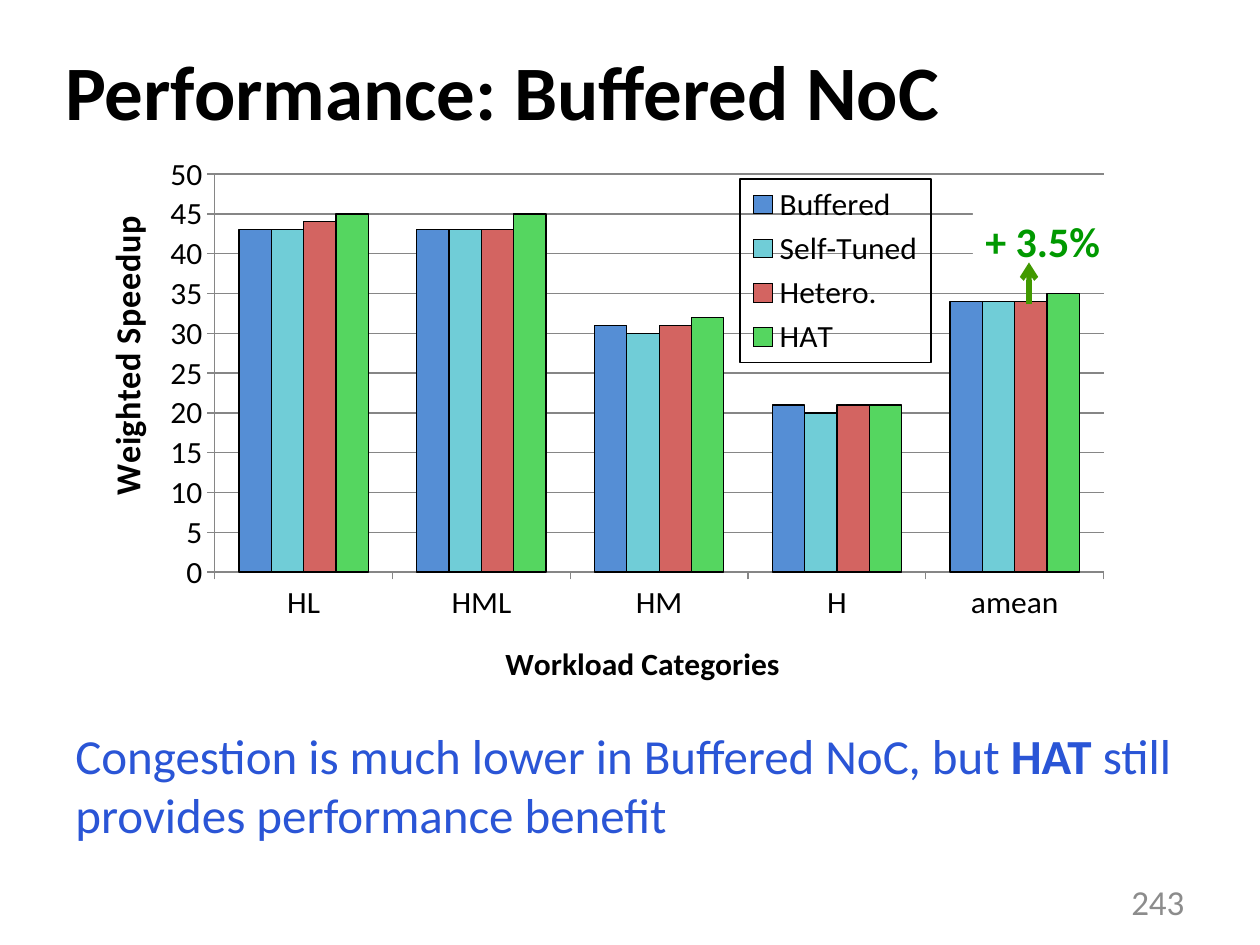
from dataclasses import dataclass

from lxml import etree
from pptx import Presentation
from pptx.chart.data import CategoryChartData
from pptx.dml.color import RGBColor
from pptx.enum import chart as ch, shapes, text
from pptx.oxml import parse_xml
from pptx.oxml.ns import nsdecls, qn
from pptx.util import Pt


@dataclass(frozen=True)
class Theme:
    font: str = "Calibri"
    black: str = "000000"
    white: str = "FFFFFF"
    grid: str = "868686"
    number: str = "8C8C8C"
    message: str = "2A55D6"
    gain: str = "009900"
    arrow: str = "419900"
    title_size: int = 44
    message_size: int = 28
    gain_size: int = 24
    large_size: int = 20
    label_size: int = 18


@dataclass(frozen=True)
class Box:
    left: float
    top: float
    width: float
    height: float

    def lengths(self) -> list:
        return [Pt(v) for v in (self.left, self.top, self.width, self.height)]


@dataclass(frozen=True)
class Run:
    text: str
    size: int
    color: str
    bold: bool = False


@dataclass(frozen=True)
class Scheme:
    name: str
    values: tuple
    color: str


T = Theme()
CATEGORIES = ("HL", "HML", "HM", "H", "amean")
SCHEMES = (
    Scheme("Buffered", (43, 43, 31, 21, 34), "558ED5"),
    Scheme("Self-Tuned", (43, 43, 30, 20, 34), "70CDD7"),
    Scheme("Hetero.", (44, 43, 31, 21, 34), "D36461"),
    Scheme("HAT", (45, 45, 32, 21, 35), "55D660"),
)


def rgb(value: str) -> RGBColor:
    return RGBColor.from_string(value)


def set_font(font, size: float, color: str, bold: bool = False) -> None:
    font.name, font.size, font.bold = T.font, Pt(size), bold
    font.color.rgb = rgb(color)


def set_line(line, color: str, width: float) -> None:
    line.color.rgb = rgb(color)
    line.width = Pt(width)


def add_runs(p, runs: tuple) -> None:
    for run in runs:
        r = p.add_run()
        r.text = run.text
        set_font(r.font, run.size, run.color, run.bold)


def add_text(s, box: Box, runs: tuple, align=text.PP_ALIGN.LEFT,
             anchor=text.MSO_ANCHOR.TOP, wrap: bool = True, grow: bool = True):
    sp = s.shapes.add_textbox(*box.lengths())
    tf = sp.text_frame
    tf.word_wrap, tf.vertical_anchor = wrap, anchor
    tf.auto_size = text.MSO_AUTO_SIZE.SHAPE_TO_FIT_TEXT if grow else text.MSO_AUTO_SIZE.NONE
    p = tf.paragraphs[0]
    p.alignment = align
    add_runs(p, runs)
    return sp


def place(element, after: str | None, inner: bool = False, **fractions: float) -> None:
    for old in element.findall(qn("c:layout")):
        element.remove(old)
    target = '<c:layoutTarget val="inner"/>' if inner else ""
    modes = '<c:xMode val="edge"/><c:yMode val="edge"/>'
    sizes = "".join(f'<c:{k} val="{v}"/>' for k, v in fractions.items())
    layout = parse_xml(f'<c:layout {nsdecls("c")}><c:manualLayout>{target}{modes}{sizes}'
                       "</c:manualLayout></c:layout>")
    if after:
        element.find(qn(after)).addnext(layout)
    else:
        element.insert(0, layout)


def format_axis(axis, title: str, size: int, x: float, y: float) -> None:
    set_font(axis.tick_labels.font, T.label_size, T.black)
    set_line(axis.format.line, T.grid, 0.75)
    axis.major_tick_mark = ch.XL_TICK_MARK.OUTSIDE
    axis.minor_tick_mark = ch.XL_TICK_MARK.NONE
    axis.has_title = True
    add_runs(axis.axis_title.text_frame.paragraphs[0], (Run(title, size, T.black, True),))
    place(axis.axis_title._element, "c:tx", x=x, y=y)


def format_legend(chart) -> None:
    chart.has_legend = True
    legend = chart.legend
    legend.position = ch.XL_LEGEND_POSITION.RIGHT
    legend.include_in_layout = False
    set_font(legend.font, T.label_size, T.black)
    place(legend._element, "c:legendPos", x=0.62, y=0.06, w=0.175, h=0.345)
    border = parse_xml(f'<c:spPr {nsdecls("c", "a")}><a:noFill/><a:ln w="{Pt(0.75)}"><a:solidFill>'
                       f'<a:srgbClr val="{T.black}"/></a:solidFill></a:ln></c:spPr>')
    legend._element.find(qn("c:overlay")).addnext(border)


def add_speedup_chart(s, box: Box) -> None:
    data = CategoryChartData()
    data.categories = CATEGORIES
    for scheme in SCHEMES:
        data.add_series(scheme.name, scheme.values)
    chart = s.shapes.add_chart(ch.XL_CHART_TYPE.COLUMN_CLUSTERED, *box.lengths(), data).chart
    chart.has_title = False
    set_font(chart.font, 10, T.black)
    plot = chart.plots[0]
    plot.gap_width, plot.overlap, plot.vary_by_categories = 150, 0, False
    for series, scheme in zip(plot.series, SCHEMES):
        series.format.fill.solid()
        series.format.fill.fore_color.rgb = rgb(scheme.color)
        set_line(series.format.line, T.black, 0.75)
    format_axis(chart.category_axis, "Workload Categories", T.label_size, 0.4, 0.92)
    axis = chart.value_axis
    format_axis(axis, "Weighted Speedup", T.large_size, 0.03, 0.13)
    axis.minimum_scale, axis.maximum_scale, axis.major_unit = 0, 50, 5
    axis.has_major_gridlines = True
    set_line(axis.major_gridlines.format.line, T.grid, 0.75)
    format_legend(chart)
    place(chart._chartSpace.chart.plotArea, None, inner=True, x=0.139, y=0.051, w=0.814, h=0.747)


def add_arrow(s, x: float, start: float, end: float) -> None:
    line = s.shapes.add_connector(shapes.MSO_CONNECTOR.STRAIGHT, Pt(x), Pt(start), Pt(x), Pt(end))
    set_line(line.line, T.arrow, 3)
    etree.SubElement(line.line._get_or_add_ln(), qn("a:tailEnd"), type="arrow")
    etree.SubElement(line._element.spPr, qn("a:effectLst"))


def add_title(s, box: Box, title: str) -> None:
    sp = s.shapes.title
    sp.left, sp.top, sp.width, sp.height = box.lengths()
    tf = sp.text_frame
    tf.vertical_anchor = text.MSO_ANCHOR.MIDDLE
    p = tf.paragraphs[0]
    p.alignment = text.PP_ALIGN.LEFT
    add_runs(p, (Run(title, T.title_size, T.black, True),))


def main() -> None:
    prs = Presentation()
    prs.slide_width, prs.slide_height = Pt(720), Pt(540)
    s = prs.slides.add_slide(prs.slide_layouts[5])
    add_speedup_chart(s, Box(36, 84, 624, 312))
    add_title(s, Box(30, 6, 648, 90), "Performance: Buffered NoC")
    add_text(s, Box(516, 500.5, 168, 28.75), (Run("243", T.large_size, T.number),),
             text.PP_ALIGN.RIGHT, text.MSO_ANCHOR.MIDDLE, grow=False)
    add_text(s, Box(36, 411, 648, 75), (
        Run("Congestion is much lower in Buffered NoC, but ", T.message_size, T.message),
        Run("HAT", T.message_size, T.message, True),
        Run(" still provides performance benefit", T.message_size, T.message),
    ))
    gain = add_text(s, Box(556, 119.5, 80.5, 36),
                    (Run("+ 3.5%", T.gain_size, T.gain, True),), wrap=False)
    gain.fill.solid()
    gain.fill.fore_color.rgb = rgb(T.white)
    add_arrow(s, 588, 174, 150)
    prs.save("out.pptx")


if __name__ == "__main__":
    main()
